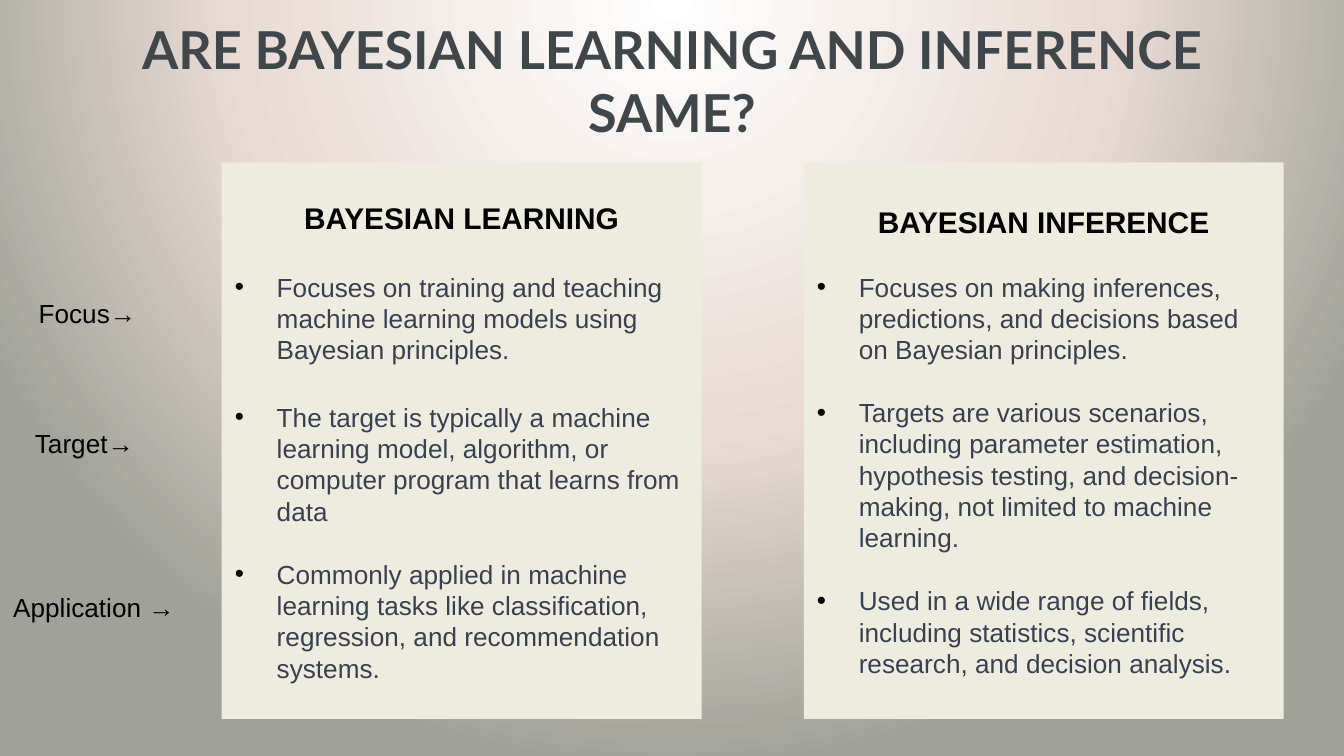
from dataclasses import dataclass

from lxml.etree import SubElement
from pptx import Presentation
from pptx.dml.color import RGBColor
from pptx.enum.text import MSO_ANCHOR, MSO_AUTO_SIZE, PP_ALIGN
from pptx.oxml import parse_xml
from pptx.oxml.ns import nsdecls, qn
from pptx.util import Cm, Pt


@dataclass(frozen=True)
class Theme:
    title_font: str = "Lato"
    body_font: str = "Arial"
    title_size: float = 28
    heading_size: float = 16
    body_size: float = 14
    line_factor: float = 1.2
    title_color: str = "40474B"
    body_color: str = "374151"
    black: str = "000000"
    panel_color: str = "EDECDF"
    backdrop: tuple = ((0, "FFFFFF"), (57, "E9DBD3"), (100, "A0A299"))


THEME = Theme()
INSET = Cm(0.25)
BULLET_INDENT = Cm(0.79)

LABELS = [
    ("Focus→", (0.48, 5.49, 3.0, 0.86)),
    ("Target→", (0.41, 7.95, 2.62, 0.86)),
    ("Application →", (0, 11.05, 4.19, 0.86)),
]

# heading, box, top margin (cm), bullets with the gap above each (pt)
PANELS = [
    ("BAYESIAN LEARNING", (4.19, 3.07, 9.07, 10.52), 0.7, [
        ("Focuses on training and teaching machine learning models using "
         "Bayesian principles.", 19.2),
        ("The target is typically a machine learning model, algorithm, or "
         "computer program that learns from data", 19.2),
        ("Commonly applied in machine learning tasks like classification, "
         "regression, and recommendation systems.", 16.8),
    ]),
    ("BAYESIAN INFERENCE", (15.19, 3.07, 9.07, 10.52), 0.78, [
        ("Focuses on making inferences, predictions, and decisions based on "
         "Bayesian principles.", 16.8),
        ("Targets are various scenarios, including parameter estimation, "
         "hypothesis testing, and decision-making, not limited to machine "
         "learning.", 16.8),
        ("Used in a wide range of fields, including statistics, scientific "
         "research, and decision analysis.", 16.8),
    ]),
]


def place(shape, box):
    shape.left, shape.top, shape.width, shape.height = map(Cm, box)


def write(para, text, *, size, color, font=THEME.body_font, bold=False,
          align=PP_ALIGN.LEFT, before=0, leading=None):
    para.alignment = align
    para.space_before = Pt(before)
    if leading:
        para.line_spacing = Pt(leading)
    span = para.add_run()
    span.text = text
    span.font.size = Pt(size)
    span.font.name = font
    span.font.bold = bold
    span.font.color.rgb = RGBColor.from_string(color)


def set_bullet(para, color=None):
    """Give the paragraph a hanging bullet, or none if no colour is given."""
    props = para._p.get_or_add_pPr()
    indent = BULLET_INDENT if color else 0
    props.set("marL", str(indent))
    props.set("indent", str(-indent))
    if not color:
        SubElement(props, qn("a:buNone"))
        return
    SubElement(SubElement(props, qn("a:buClr")), qn("a:srgbClr"), val=color)
    SubElement(props, qn("a:buFont"), typeface=THEME.body_font)
    SubElement(props, qn("a:buChar"), char="•")


def paint_backdrop(page):
    stops = "".join(
        f'<a:gs pos="{pos * 1000}"><a:srgbClr val="{color}"/></a:gs>'
        for pos, color in THEME.backdrop)
    gradient = parse_xml(
        f'<a:gradFill rotWithShape="1" {nsdecls("a")}><a:gsLst>{stops}</a:gsLst>'
        '<a:path path="circle"><a:fillToRect l="50000" t="-80000" '
        'r="50000" b="180000"/></a:path></a:gradFill>')
    page.background.fill.solid()
    solid = page.element.find(".//" + qn("p:bgPr")).find(qn("a:solidFill"))
    solid.getparent().replace(solid, gradient)


def prepare_frame(shape, anchor):
    frame = shape.text_frame
    frame.word_wrap = True
    frame.auto_size = MSO_AUTO_SIZE.NONE
    frame.vertical_anchor = anchor
    frame.margin_left = frame.margin_right = INSET
    frame.margin_top = frame.margin_bottom = INSET
    return frame


def fill_title(shape, text, box):
    place(shape, box)
    frame = prepare_frame(shape, MSO_ANCHOR.BOTTOM)
    write(frame.paragraphs[0], text, size=THEME.title_size,
          color=THEME.title_color, font=THEME.title_font, bold=True,
          align=PP_ALIGN.CENTER)


def fill_panel(shape, heading, box, top_margin, bullets):
    place(shape, box)
    shape.fill.solid()
    shape.fill.fore_color.rgb = RGBColor.from_string(THEME.panel_color)
    frame = prepare_frame(shape, MSO_ANCHOR.TOP)
    frame.margin_top = Cm(top_margin)
    para = frame.paragraphs[0]
    write(para, heading, size=THEME.heading_size, color=THEME.black, bold=True,
          align=PP_ALIGN.CENTER,
          leading=THEME.heading_size * THEME.line_factor)
    set_bullet(para)
    for text, gap in bullets:
        para = frame.add_paragraph()
        write(para, text, size=THEME.body_size, color=THEME.body_color,
              before=gap, leading=THEME.body_size * THEME.line_factor)
        set_bullet(para, THEME.black)


def add_label(page, text, box):
    label = page.shapes.add_textbox(*map(Cm, box))
    label.text_frame.word_wrap = True
    write(label.text_frame.paragraphs[0], text, size=THEME.body_size,
          color=THEME.black)


def main():
    deck = Presentation()
    deck.slide_width, deck.slide_height = Cm(25.4), Cm(14.29)
    page = deck.slides.add_slide(deck.slide_layouts.get_by_name("Two Content"))
    paint_backdrop(page)
    title, *bodies = page.placeholders
    fill_title(title, "ARE BAYESIAN LEARNING AND INFERENCE SAME?",
               (1.98, 1.45, 21.44, 1.5))
    for body, panel in zip(bodies, PANELS):
        fill_panel(body, *panel)
    for text, box in LABELS:
        add_label(page, text, box)
    deck.save("out.pptx")


if __name__ == "__main__":
    main()
